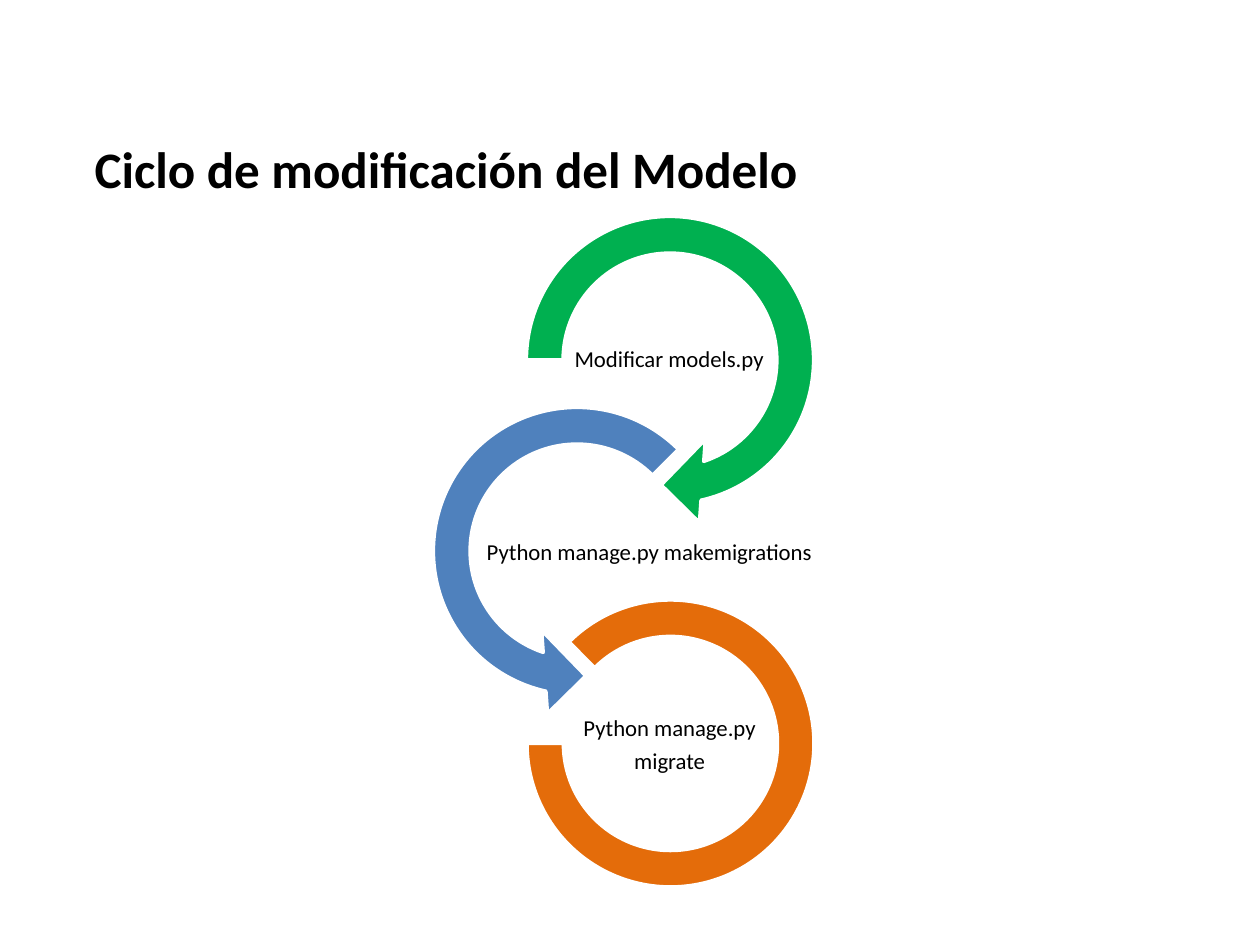
from pptx import Presentation
from pptx.dml.color import RGBColor
from pptx.enum.shapes import MSO_SHAPE
from pptx.enum.text import MSO_ANCHOR, PP_ALIGN
from pptx.util import Emu, Pt

BLACK = RGBColor(0x00, 0x00, 0x00)
WHITE = RGBColor(0xFF, 0xFF, 0xFF)
GREEN = RGBColor(0x00, 0xB0, 0x50)
BLUE = RGBColor(0x4F, 0x81, 0xBD)
ORANGE = RGBColor(0xE4, 0x6C, 0x0A)

CIRCULAR_ARROW = MSO_SHAPE.CIRCULAR_ARROW
LEFT_CIRCULAR_ARROW = MSO_SHAPE.LEFT_CIRCULAR_ARROW
BLOCK_ARC = MSO_SHAPE.BLOCK_ARC
MIDDLE = MSO_ANCHOR.MIDDLE
LEFT = PP_ALIGN.LEFT
CENTER = PP_ALIGN.CENTER

PX_PER_INCH = 126
TITLE_ONLY = 5
LABEL_HEIGHT = 93

STEPS = [
    (CIRCULAR_ARROW, (503, 193, 334), (0.11, 11.42, 45, 108, 0.125), GREEN,
     (476, 314, 386), ["Modificar models.py"]),
    (LEFT_CIRCULAR_ARROW, (410, 384, 334), (0.11, 11.42, 63, 189, 0.125), BLUE,
     (468, 507, 362), ["Python manage.py makemigrations"]),
    (BLOCK_ARC, (527, 600, 287), (135, 108, 0.127), ORANGE,
     (577, 699, 185), ["Python manage.py", "migrate"]),
]


def px(length):
    return Emu(round(length * 914400 / PX_PER_INCH))


def write_text(frame, lines, size, bold=False, align=CENTER, spacing=1.0, after=0):
    frame.word_wrap = True
    frame.vertical_anchor = MIDDLE
    for index, line in enumerate(lines):
        paragraph = frame.paragraphs[0] if index == 0 else frame.add_paragraph()
        paragraph.alignment = align
        paragraph.line_spacing = spacing
        paragraph.space_after = Pt(after)
        run = paragraph.add_run()
        run.text = line
        run.font.name = "Calibri"
        run.font.size = Pt(size)
        run.font.bold = bold
        run.font.color.rgb = BLACK


class SlideBuilder:
    def __init__(self, slide, font_size=13):
        self.slide = slide
        self.font_size = font_size

    def title(self, text, left, top, width, height):
        heading = self.slide.shapes.title
        heading.left, heading.top = px(left), px(top)
        heading.width, heading.height = px(width), px(height)
        write_text(heading.text_frame, [text], size=29.2, bold=True, align=LEFT)

    def ring(self, preset, left, top, size, adjustments, color):
        ring = self.slide.shapes.add_shape(preset, px(left), px(top), px(size), px(size))
        for index, value in enumerate(adjustments):
            ring.adjustments[index] = value
        ring.shadow.inherit = False
        ring.fill.solid()
        ring.fill.fore_color.rgb = color
        ring.line.color.rgb = WHITE
        ring.line.width = Pt(2)

    def label(self, lines, left, top, width):
        label = self.slide.shapes.add_textbox(px(left), px(top), px(width), px(LABEL_HEIGHT))
        frame = label.text_frame
        frame.margin_left = frame.margin_right = px(1)
        frame.margin_top = frame.margin_bottom = px(1)
        write_text(frame, lines, size=self.font_size, spacing=0.9, after=4.55)


def main():
    presentation = Presentation()
    presentation.slide_width = px(1260)
    presentation.slide_height = px(945)
    layout = presentation.slide_layouts[TITLE_ONLY]
    builder = SlideBuilder(presentation.slides.add_slide(layout))

    builder.title("Ciclo de modificación del Modelo", 82, 126, 862, 84)
    for preset, ring_place, adjustments, color, label_place, lines in STEPS:
        builder.ring(preset, *ring_place, adjustments, color)
        builder.label(lines, *label_place)

    presentation.save("out.pptx")


if __name__ == "__main__":
    main()
